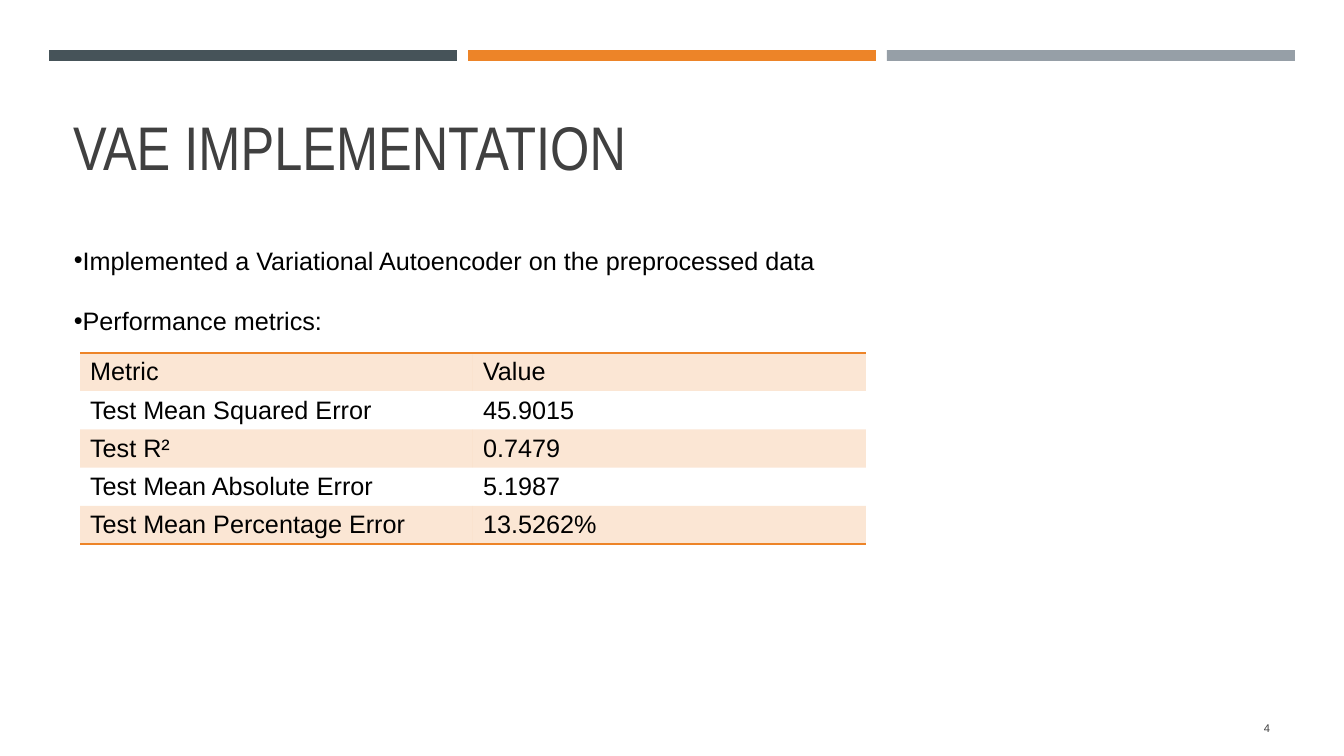
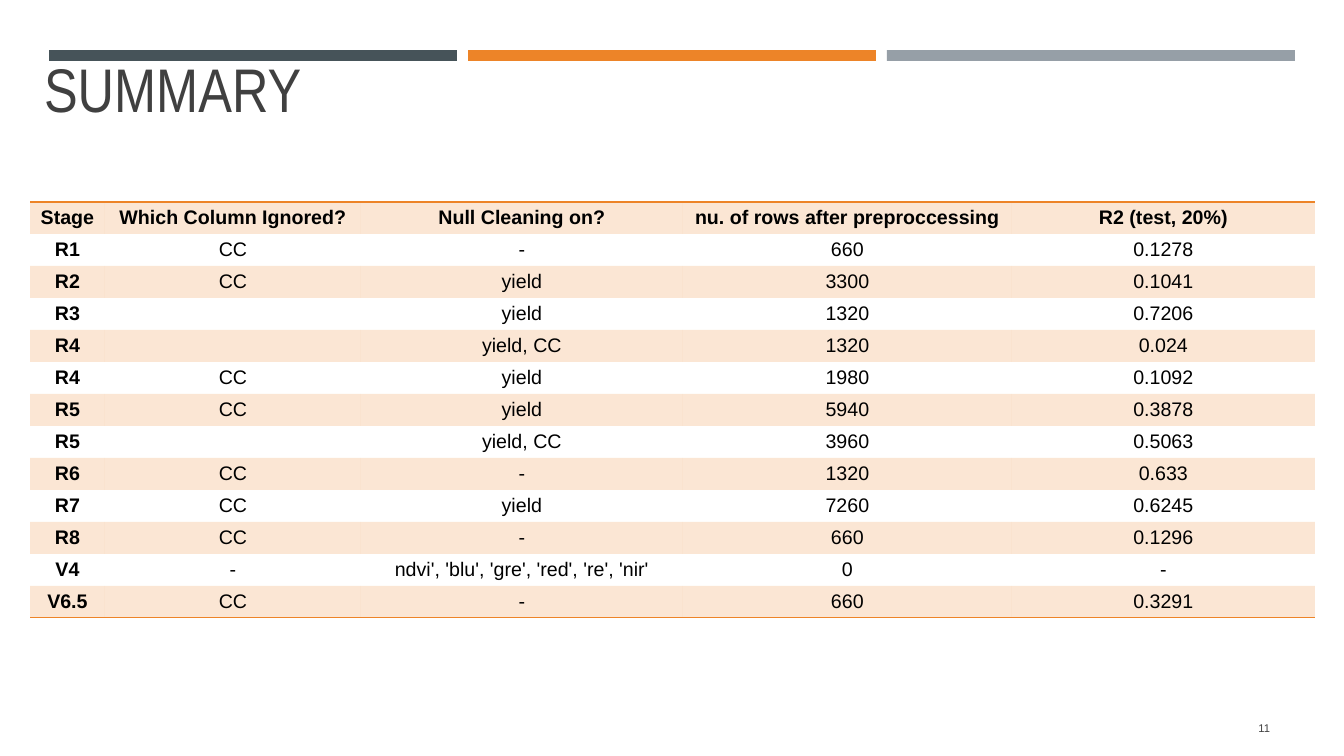
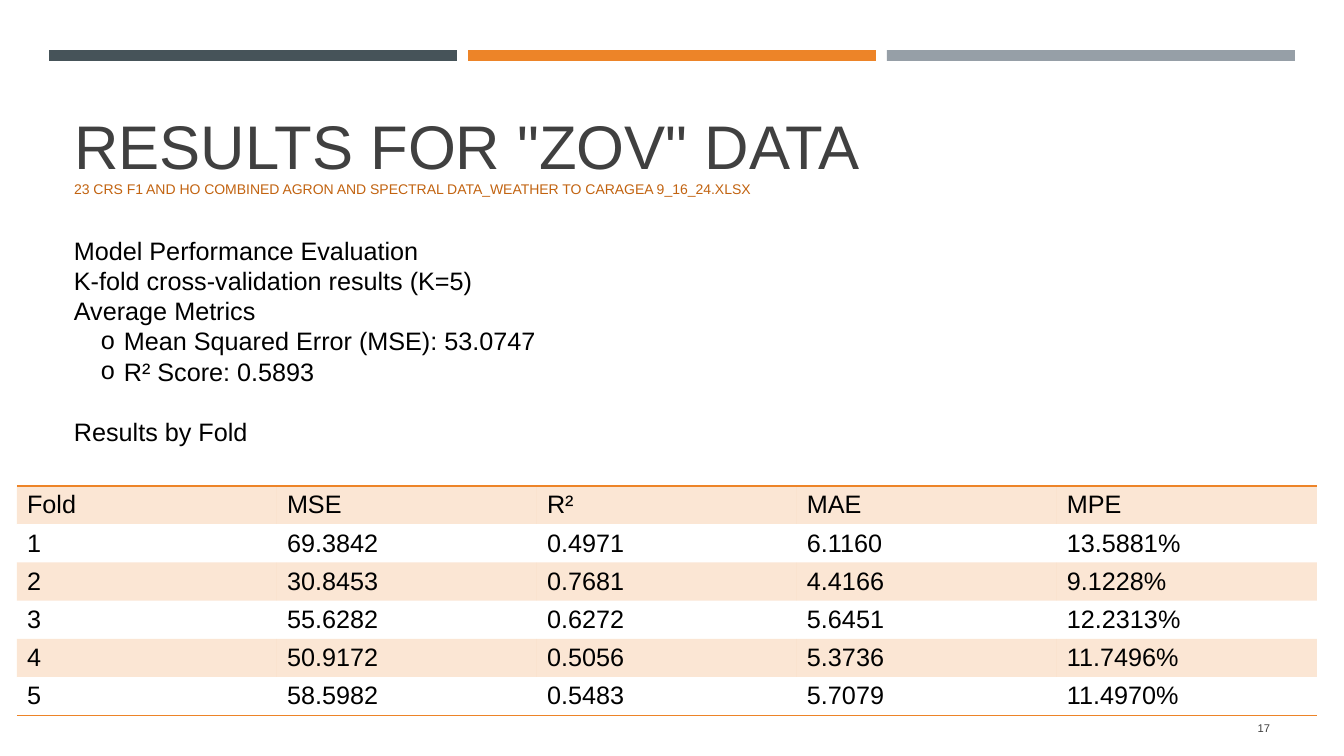
from lxml.etree import SubElement as Sub
from pptx import Presentation
from pptx.dml.color import RGBColor as RGB
from pptx.enum.shapes import MSO_SHAPE as Geo
from pptx.enum.text import MSO_ANCHOR as Anchor, MSO_AUTO_SIZE as Auto, PP_ALIGN as Align
from pptx.oxml import parse_xml
from pptx.oxml.ns import nsdecls, qn
from pptx.util import Emu, Pt

# Shared look
PX = 914400 / 100.8
COL = {"slate": "465359", "orange": "ED8428", "grey": "969FA7", "dark": "404040",
       "rust": "C26310", "black": "000000", "white": "FFFFFF"}
BANDS = ["slate", "orange", "grey"]
HEAD = {"size": 44, "name": "Arial Narrow", "color": "dark"}
WIDE = HEAD | {"name": "Arial"}
SUB = WIDE | {"size": 10, "color": "rust"}
BODY = {"size": 18, "name": "Arial", "color": "black"}
FOOT = {"size": 8, "name": "Arial", "color": "dark"}
GAP = 21.5  # points, one line of body text

# Content: text lines are (bullet, indent px, space before pt, text)
SLIDES = [
    {"num": "4", "title": [("VAE IMPLEMENTATION", HEAD)], "at": (63, 58, 1216, 131),
     "box": (64, 240, 1041, 102),
     "lines": [("•", 0, 0, "Implemented a Variational Autoencoder on the preprocessed data"),
               ("•", 0, GAP, "Performance metrics:")],
     "table": {"left": 80, "top": 353, "cols": [393] * 2, "high": 38, "size": 18,
               "align": Align.LEFT, "bold": False, "rows": [
                   ("Metric", "Value"),
                   ("Test Mean Squared Error", "45.9015"),
                   ("Test R²", "0.7479"),
                   ("Test Mean Absolute Error", "5.1987"),
                   ("Test Mean Percentage Error", "13.5262%")]}},
    {"num": "11", "title": [("SUMMARY", HEAD)], "at": (34, 0, 1216, 131),
     "box": None, "lines": [],
     "table": {"left": 30, "top": 202, "cols": [75, 256, 322, 329, 303], "high": 32,
               "size": 14, "align": Align.CENTER, "bold": True, "rows": [
                   ("Stage", "Which Column Ignored?", "Null Cleaning on?",
                    "nu. of rows after preproccessing", "R2 (test, 20%)"),
                   ("R1", "CC", "-", "660", "0.1278"),
                   ("R2", "CC", "yield", "3300", "0.1041"),
                   ("R3", "", "yield", "1320", "0.7206"),
                   ("R4", "", "yield, CC", "1320", "0.024"),
                   ("R4", "CC", "yield", "1980", "0.1092"),
                   ("R5", "CC", "yield", "5940", "0.3878"),
                   ("R5", "", "yield, CC", "3960", "0.5063"),
                   ("R6", "CC", "-", "1320", "0.633"),
                   ("R7", "CC", "yield", "7260", "0.6245"),
                   ("R8", "CC", "-", "660", "0.1296"),
                   ("V4", "-", "ndvi', 'blu', 'gre', 'red', 're', 'nir'", "0", "-"),
                   ("V6.5", "CC", "-", "660", "0.3291")]}},
    {"num": "17", "at": (64, 104, 1216, 99),
     "title": [("RESULTS FOR \"ZOV\" DATA", WIDE),
               ("23 CRS F1 AND HO COMBINED AGRON AND SPECTRAL DATA_WEATHER TO CARAGEA "
                "9_16_24.XLSX", SUB)],
     "box": (64, 230, 1250, 224),
     "lines": [("", 0, 0, "Model Performance Evaluation"),
               ("", 0, 0, "K-fold cross-validation results (K=5)"),
               ("", 0, 0, "Average Metrics"),
               ("o", 50, 0, "Mean Squared Error (MSE): 53.0747"),
               ("o", 50, 0, "R² Score: 0.5893"),
               ("", 0, GAP, "Results by Fold")],
     "table": {"left": 17, "top": 486, "cols": [260] * 5, "high": 38, "size": 18,
               "align": Align.LEFT, "bold": False, "rows": [
                   ("Fold", "MSE", "R²", "MAE", "MPE"),
                   ("1", "69.3842", "0.4971", "6.1160", "13.5881%"),
                   ("2", "30.8453", "0.7681", "4.4166", "9.1228%"),
                   ("3", "55.6282", "0.6272", "5.6451", "12.2313%"),
                   ("4", "50.9172", "0.5056", "5.3736", "11.7496%"),
                   ("5", "58.5982", "0.5483", "5.7079", "11.4970%")]}},
]


def px(n):
    return Emu(round(n * PX))


def rgb(key):
    return RGB.from_string(COL[key])


def put(obj, vals):
    for key, val in vals.items():
        setattr(obj, key, val)


def write(para, text, style):
    run = para.add_run()
    run.text = text
    for key, val in style.items():
        if key == "color":
            run.font.color.rgb = rgb(val)
        else:
            setattr(run.font, key, Pt(val) if key == "size" else val)


def draw_bands(slide):
    for i, key in enumerate(BANDS):
        bar = slide.shapes.add_shape(Geo.RECTANGLE, px(49 + 419 * i), px(50), px(408), px(11))
        bar.shadow.inherit = False
        bar.fill.solid()
        bar.fill.fore_color.rgb = rgb(key)
        bar.line.fill.background()


def set_title(slide, runs, at):
    shape = slide.shapes.title
    put(shape, dict(zip(("left", "top", "width", "height"), map(px, at))))
    frame = shape.text_frame
    put(frame, {"vertical_anchor": Anchor.BOTTOM, "auto_size": Auto.NONE, "word_wrap": True})
    para = frame.paragraphs[0]
    put(para, {"alignment": Align.LEFT, "line_spacing": 0.9})
    for i, (text, style) in enumerate(runs):
        if i:
            para.add_line_break()
        write(para, text, style)


def add_box(slide, at):
    frame = slide.shapes.add_textbox(*map(px, at)).text_frame
    frame.word_wrap = True
    return frame


def add_lines(slide, at, lines):
    frame = add_box(slide, at)
    for i, (mark, dent, gap, text) in enumerate(lines):
        para = frame.add_paragraph() if i else frame.paragraphs[0]
        para.space_before = Pt(gap)
        write(para, text, BODY)
        if mark:
            prop = para._p.get_or_add_pPr()
            prop.set("marL", str(px(dent)))
            prop.set("indent", str(px(-23 if dent else 0)))
            Sub(prop, qn("a:buFont"), typeface="Arial")
            Sub(prop, qn("a:buChar"), char=mark)


def set_fill(cell, tint):
    cell.fill.solid()
    cell.fill.fore_color.rgb = rgb("orange" if tint else "white")
    if tint:
        color = cell._tc.tcPr.find(".//" + qn("a:srgbClr"))
        Sub(color, qn("a:alpha"), val="20000")


def set_edges(cell, sides):
    prop = cell._tc.get_or_add_tcPr()
    for i, side in enumerate("LRTB"):
        ink = (f'<a:solidFill><a:srgbClr val="{COL["orange"]}"/></a:solidFill>'
               if side in sides else "<a:noFill/>")
        prop.insert(i, parse_xml(f'<a:ln{side} {nsdecls("a")} w="12700">{ink}</a:ln{side}>'))


def add_grid(slide, left, top, cols, high, size, align, bold, rows):
    grid = slide.shapes.add_table(len(rows), len(cols), px(left), px(top),
                                  px(sum(cols)), px(high * len(rows))).table
    put(grid, {"first_row": False, "horz_banding": False})
    for col, wide in zip(grid.columns, cols):
        col.width = px(wide)
    for r, row in enumerate(rows):
        grid.rows[r].height = px(high)
        sides = ("T" if r == 0 else "") + ("B" if r == len(rows) - 1 else "")
        for c, text in enumerate(row):
            cell = grid.cell(r, c)
            put(cell, {"vertical_anchor": Anchor.MIDDLE,
                       "margin_top": px(4), "margin_bottom": px(4)})
            set_fill(cell, r % 2 == 0)
            set_edges(cell, sides)
            para = cell.text_frame.paragraphs[0]
            para.alignment = align
            if text:
                write(para, text, BODY | {"size": size, "bold": bold and 0 in (r, c)})
            else:
                Sub(para._p, qn("a:endParaRPr"), sz=str(size * 100))


def add_num(slide, num):
    frame = add_box(slide, (1164, 708, 116, 40))
    frame.vertical_anchor = Anchor.MIDDLE
    para = frame.paragraphs[0]
    para.alignment = Align.RIGHT
    write(para, num, FOOT)


def main():
    deck = Presentation()
    put(deck, {"slide_width": px(1344), "slide_height": px(756)})
    for page in SLIDES:
        slide = deck.slides.add_slide(deck.slide_layouts[5])
        draw_bands(slide)
        set_title(slide, page["title"], page["at"])
        if page["lines"]:
            add_lines(slide, page["box"], page["lines"])
        add_grid(slide, **page["table"])
        add_num(slide, page["num"])
    deck.save("out.pptx")


if __name__ == "__main__":
    main()
